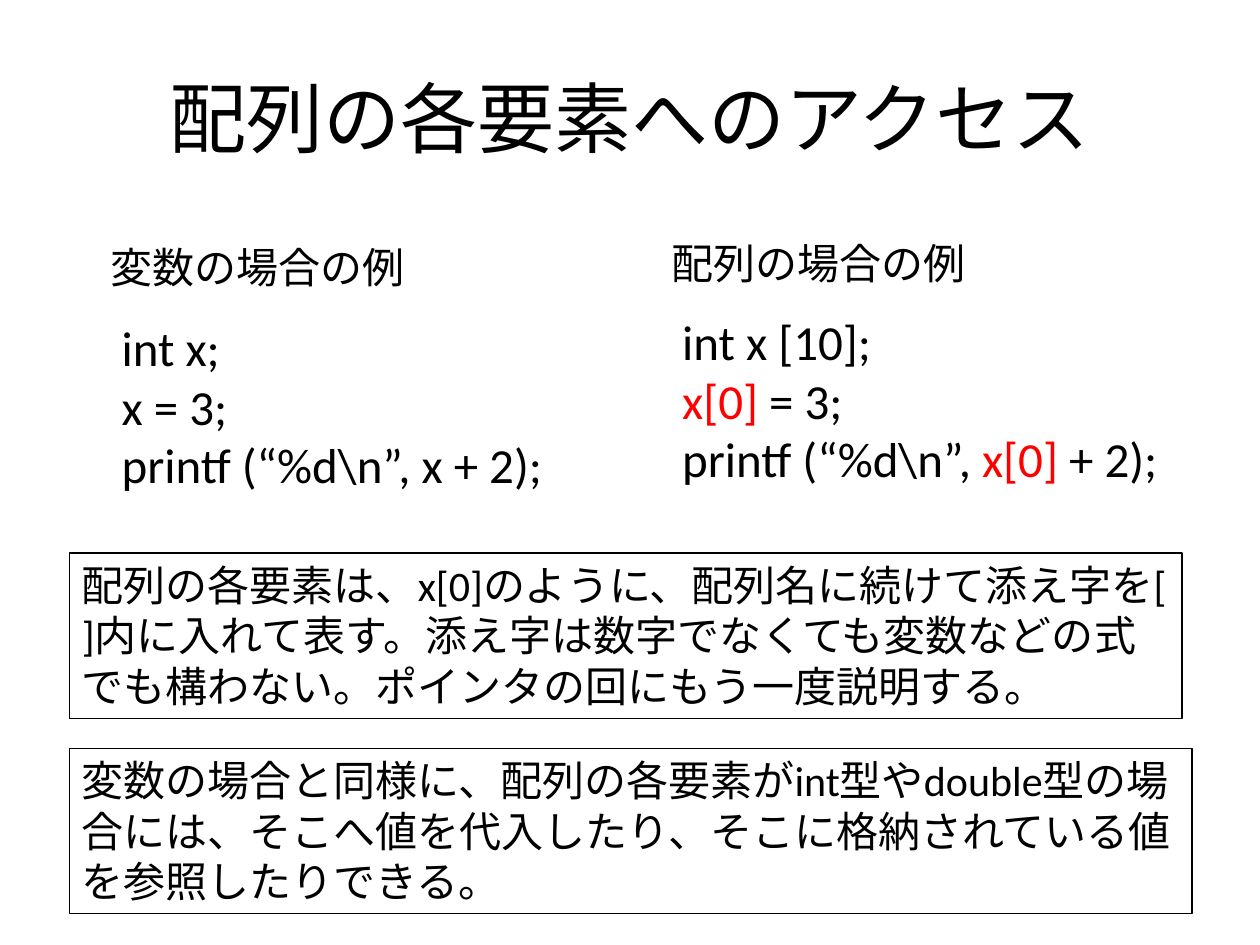
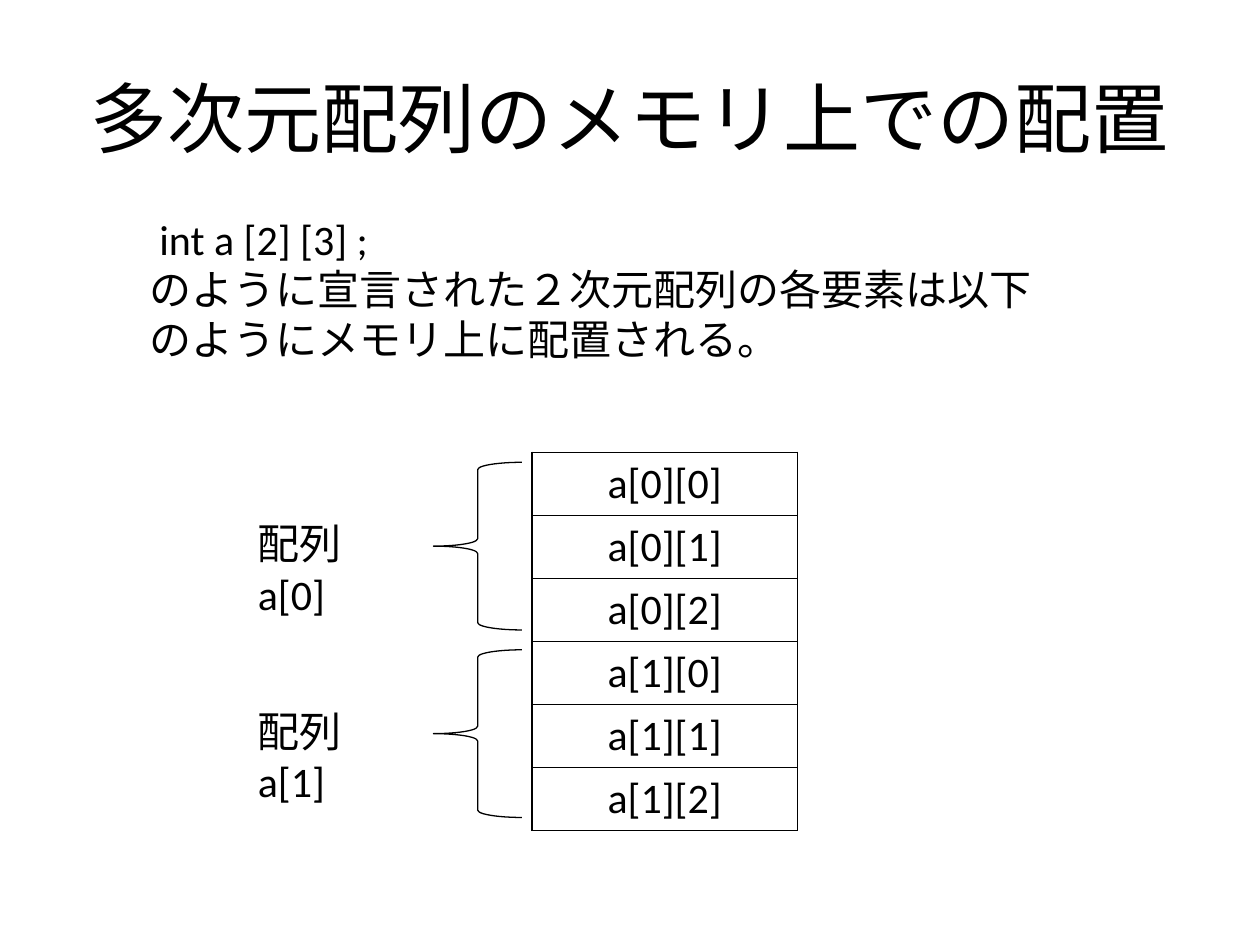
from dataclasses import dataclass

from lxml import etree
from pptx import Presentation
from pptx.dml.color import RGBColor
from pptx.enum.lang import MSO_LANGUAGE_ID
from pptx.enum.shapes import MSO_SHAPE
from pptx.enum.text import MSO_ANCHOR, MSO_AUTO_SIZE, PP_ALIGN
from pptx.oxml.ns import qn
from pptx.util import Cm, Pt

CENTER, LEFT = PP_ALIGN.CENTER, PP_ALIGN.LEFT
MIDDLE = MSO_ANCHOR.MIDDLE
FIT_SHAPE = MSO_AUTO_SIZE.SHAPE_TO_FIT_TEXT
LEFT_BRACE = MSO_SHAPE.LEFT_BRACE
JAPANESE = MSO_LANGUAGE_ID.JAPANESE


@dataclass(frozen=True)
class Theme:
    font: str = "Calibri"
    ink: str = "000000"
    accent: str = "FF0000"
    title: int = 44
    code: int = 28
    body: int = 24
    outline: float = 0.75
    grid: float = 1


THEME = Theme()

# Content; every box is left, top, width, height in centimetres
ACCESS_TITLE = "配列の各要素へのアクセス"
EXAMPLES = [
    dict(heading="変数の場合の例", heading_box=(1.98, 4.75, 6.5, 1.27),
         code=[" int x;", " x = 3;", " printf (“%d\\n”, x + 2);"],
         code_box=(1.98, 6.27, 9.47, 3.84), accent=None),
    dict(heading="配列の場合の例", heading_box=(13.28, 4.67, 6.5, 1.27),
         code=[" int x [10];", " x[0] = 3;", " printf (“%d\\n”, x[0] + 2);"],
         code_box=(13.28, 6.15, 10.82, 3.84), accent="x[0]"),
]
NOTES = [
    ("配列の各要素は、x[0]のように、配列名に続けて添え字を[ ]内に入れて表す。"
     "添え字は数字でなくても変数などの式でも構わない。ポインタの回にもう一度説明する。",
     (1.4, 11.15, 22.43, 3.33)),
    ("変数の場合と同様に、配列の各要素がint型やdouble型の場合には、"
     "そこへ値を代入したり、そこに格納されている値を参照したりできる。",
     (1.4, 15.09, 22.63, 3.33)),
]

LAYOUT_TITLE = "多次元配列のメモリ上での配置"
DECLARATION = [" int a [2] [3] ;",
               "のように宣言された２次元配列の各要素は以下のようにメモリ上に配置される。"]
DECLARATION_BOX = (2.77, 4.17, 18.47, 3.33)
ARRAY_ROWS, ARRAY_COLS = 2, 3
MEMORY_LEFT, MEMORY_TOP, MEMORY_WIDTH, CELL_HEIGHT = 10.72, 9.12, 5.36, 1.27
BRACE_LEFT, BRACE_TOP, BRACE_WIDTH, BRACE_HEIGHT = 8.74, 9.32, 1.78, 3.38
GROUP_PITCH = 3.78
LABEL_LEFT, LABEL_DROP, LABEL_WIDTH, LABEL_HEIGHT = 4.95, 0.99, 3.78, 1.27
LABEL_RIGHT_MARGIN = 1.2


def cm(box):
    return [Cm(v) for v in box]


def rgb(color):
    return RGBColor.from_string(color)


def write(tf, lines, size=THEME.body, align=LEFT, accent=None):
    """Fill a text frame, one paragraph a line, colouring each accent string."""
    for i, line in enumerate(lines):
        p = tf.paragraphs[0] if i == 0 else tf.add_paragraph()
        p.alignment = align
        pieces = [(line, THEME.ink)]
        if accent:
            pieces = [(part, THEME.ink) for part in line.split(accent)]
            for k in range(len(pieces) - 1, 0, -1):
                pieces.insert(k, (accent, THEME.accent))
        for text, color in pieces:
            r = p.add_run()
            r.text = text
            r.font.name = THEME.font
            r.font.size = Pt(size)
            r.font.color.rgb = rgb(color)
            r.font.language_id = JAPANESE


def outline(sp):
    sp.line.color.rgb = rgb(THEME.ink)
    sp.line.width = Pt(THEME.outline)


def add_text(slide, lines, box, wrap=True, framed=False, **fmt):
    sp = slide.shapes.add_textbox(*cm(box))
    tf = sp.text_frame
    tf.word_wrap = wrap
    tf.auto_size = FIT_SHAPE
    write(tf, lines, **fmt)
    if framed:
        outline(sp)
    return sp


def add_slide(prs, title):
    slide = prs.slides.add_slide(prs.slide_layouts[5])
    sp = slide.shapes.title
    sp.left, sp.top, sp.width, sp.height = cm((1.27, 0.76, 22.86, 3.18))
    sp.text_frame.vertical_anchor = MIDDLE
    write(sp.text_frame, [title], size=THEME.title, align=CENTER)
    return slide


def set_borders(cell):
    tc_pr = cell._tc.get_or_add_tcPr()
    for i, side in enumerate(("a:lnL", "a:lnR", "a:lnT", "a:lnB")):
        ln = etree.Element(qn(side), w=str(Pt(THEME.grid)))
        fill = etree.SubElement(ln, qn("a:solidFill"))
        etree.SubElement(fill, qn("a:srgbClr"), val=THEME.ink)
        tc_pr.insert(i, ln)


def add_memory_table(slide):
    names = [f"a[{i}][{j}]" for i in range(ARRAY_ROWS) for j in range(ARRAY_COLS)]
    box = (MEMORY_LEFT, MEMORY_TOP, MEMORY_WIDTH, CELL_HEIGHT * len(names))
    table = slide.shapes.add_table(len(names), 1, *cm(box)).table
    table.first_row = table.horz_banding = False
    for i, name in enumerate(names):
        cell = table.cell(i, 0)
        cell.fill.background()
        set_borders(cell)
        write(cell.text_frame, [name], align=CENTER)


def add_group_brace(slide, i):
    """Bracket the cells of a[i] and label them."""
    top = BRACE_TOP + i * GROUP_PITCH
    box = (BRACE_LEFT, top, BRACE_WIDTH, BRACE_HEIGHT)
    sp = slide.shapes.add_shape(LEFT_BRACE, *cm(box))
    sp.shadow.inherit = False
    sp.fill.background()
    outline(sp)
    label = add_text(slide, [f"配列 a[{i}]"],
                     (LABEL_LEFT, top + LABEL_DROP, LABEL_WIDTH, LABEL_HEIGHT))
    label.text_frame.margin_right = Cm(LABEL_RIGHT_MARGIN)


def build_access_slide(prs):
    slide = add_slide(prs, ACCESS_TITLE)
    for ex in EXAMPLES:
        add_text(slide, [ex["heading"]], ex["heading_box"], wrap=False)
        add_text(slide, ex["code"], ex["code_box"], wrap=False,
                 size=THEME.code, accent=ex["accent"])
    for text, box in NOTES:
        add_text(slide, [text], box, framed=True)


def build_layout_slide(prs):
    slide = add_slide(prs, LAYOUT_TITLE)
    add_text(slide, DECLARATION, DECLARATION_BOX)
    add_memory_table(slide)
    for i in range(ARRAY_ROWS):
        add_group_brace(slide, i)


def main():
    prs = Presentation()
    prs.slide_width, prs.slide_height = Cm(25.4), Cm(19.05)
    build_access_slide(prs)
    build_layout_slide(prs)
    prs.save("out.pptx")


if __name__ == "__main__":
    main()
